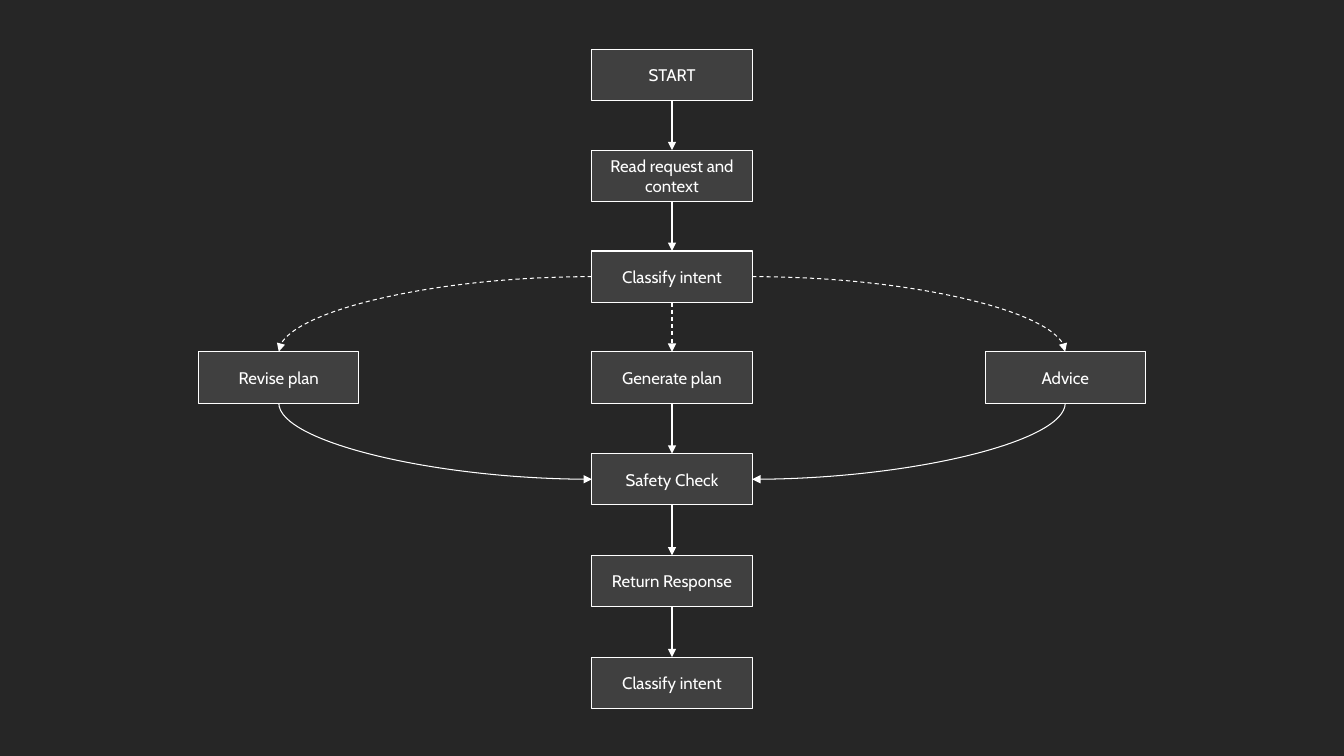
from pptx import Presentation
from pptx.dml.color import RGBColor
from pptx.enum.dml import MSO_LINE
from pptx.enum.shapes import MSO_CONNECTOR, MSO_SHAPE
from pptx.enum.text import MSO_ANCHOR, PP_ALIGN
from pptx.oxml.ns import qn
from pptx.oxml.xmlchemy import OxmlElement
from pptx.util import Inches, Pt

COLORS = {"background": "262626", "box": "404040", "line": "FFFFFF", "text": "FFFFFF"}
FONT = "Cabin"
COLUMN_LEFTS = [1.97, 5.87, 9.77]
ROW_TOPS = [0.49, 1.49, 2.49, 3.49, 4.5, 5.51, 6.52]
BOX_WIDTH, BOX_HEIGHT = 1.59, 0.51
TOP, LEFT, BOTTOM, RIGHT = range(4)

# name: (text, column, row)
STEPS = {
    "start": ("START", 1, 0),
    "read": ("Read request and context", 1, 1),
    "classify": ("Classify intent", 1, 2),
    "revise": ("Revise plan", 0, 3),
    "generate": ("Generate plan", 1, 3),
    "advice": ("Advice", 2, 3),
    "safety": ("Safety Check", 1, 4),
    "response": ("Return Response", 1, 5),
    "final": ("Classify intent", 1, 6),
}
# source, its side, target, its side, dashed
ARROWS = [
    ("start", BOTTOM, "read", TOP, False),
    ("read", BOTTOM, "classify", TOP, False),
    ("classify", LEFT, "revise", TOP, True),
    ("classify", BOTTOM, "generate", TOP, True),
    ("classify", RIGHT, "advice", TOP, True),
    ("revise", BOTTOM, "safety", LEFT, False),
    ("generate", BOTTOM, "safety", TOP, False),
    ("advice", BOTTOM, "safety", RIGHT, False),
    ("safety", BOTTOM, "response", TOP, False),
    ("response", BOTTOM, "final", TOP, False),
]


def rgb(name):
    return RGBColor.from_string(COLORS[name])


def add_step(slide, text, column, row):
    shape = slide.shapes.add_shape(
        MSO_SHAPE.RECTANGLE, Inches(COLUMN_LEFTS[column]), Inches(ROW_TOPS[row]),
        Inches(BOX_WIDTH), Inches(BOX_HEIGHT))
    shape.shadow.inherit = False
    shape.fill.solid()
    shape.fill.fore_color.rgb = rgb("box")
    shape.line.color.rgb = rgb("line")
    shape.line.width = Pt(0.75)
    frame = shape.text_frame
    frame.word_wrap = True
    frame.vertical_anchor = MSO_ANCHOR.MIDDLE
    paragraph = frame.paragraphs[0]
    paragraph.alignment = PP_ALIGN.CENTER
    run = paragraph.add_run()
    run.text = text
    run.font.name = FONT
    run.font.size = Pt(12)
    run.font.color.rgb = rgb("text")
    return shape


def bend_once(connector, starts_vertical):
    """Turn a curve into a quarter arc, rotated when it leaves vertically."""
    properties = connector.element.spPr
    properties.find(qn("a:prstGeom")).set("prst", "curvedConnector2")
    if not starts_vertical:
        return
    goes_right = connector.end_x > connector.begin_x
    center_x = connector.left + connector.width // 2
    center_y = connector.top + connector.height // 2
    width, height = connector.height, connector.width
    connector.left, connector.top = center_x - width // 2, center_y - height // 2
    connector.width, connector.height = width, height
    properties.xfrm.flipH = goes_right
    properties.xfrm.rot = 270 if goes_right else 90


def add_arrow(slide, source, source_side, target, target_side, dashed=False):
    straight = (source_side, target_side) == (BOTTOM, TOP)
    kind = MSO_CONNECTOR.STRAIGHT if straight else MSO_CONNECTOR.CURVE
    connector = slide.shapes.add_connector(kind, 0, 0, 0, 0)
    connector.begin_connect(source, source_side)
    connector.end_connect(target, target_side)
    if not straight:
        bend_once(connector, source_side == BOTTOM)
    connector.line.color.rgb = rgb("line")
    connector.line.width = Pt(0.75)
    if dashed:
        connector.line.dash_style = MSO_LINE.DASH
    arrowhead = OxmlElement("a:tailEnd")
    arrowhead.set("type", "triangle")
    connector.line._get_or_add_ln().append(arrowhead)
    connector.element.spPr.append(OxmlElement("a:effectLst"))


def main():
    presentation = Presentation()
    presentation.slide_width = Inches(13.33)
    presentation.slide_height = Inches(7.5)
    slide = presentation.slides.add_slide(presentation.slide_layouts[6])
    slide.background.fill.solid()
    slide.background.fill.fore_color.rgb = rgb("background")

    boxes = {name: add_step(slide, *step) for name, step in STEPS.items()}
    for source, source_side, target, target_side, dashed in ARROWS:
        add_arrow(slide, boxes[source], source_side, boxes[target], target_side, dashed=dashed)

    presentation.save("out.pptx")


if __name__ == "__main__":
    main()
